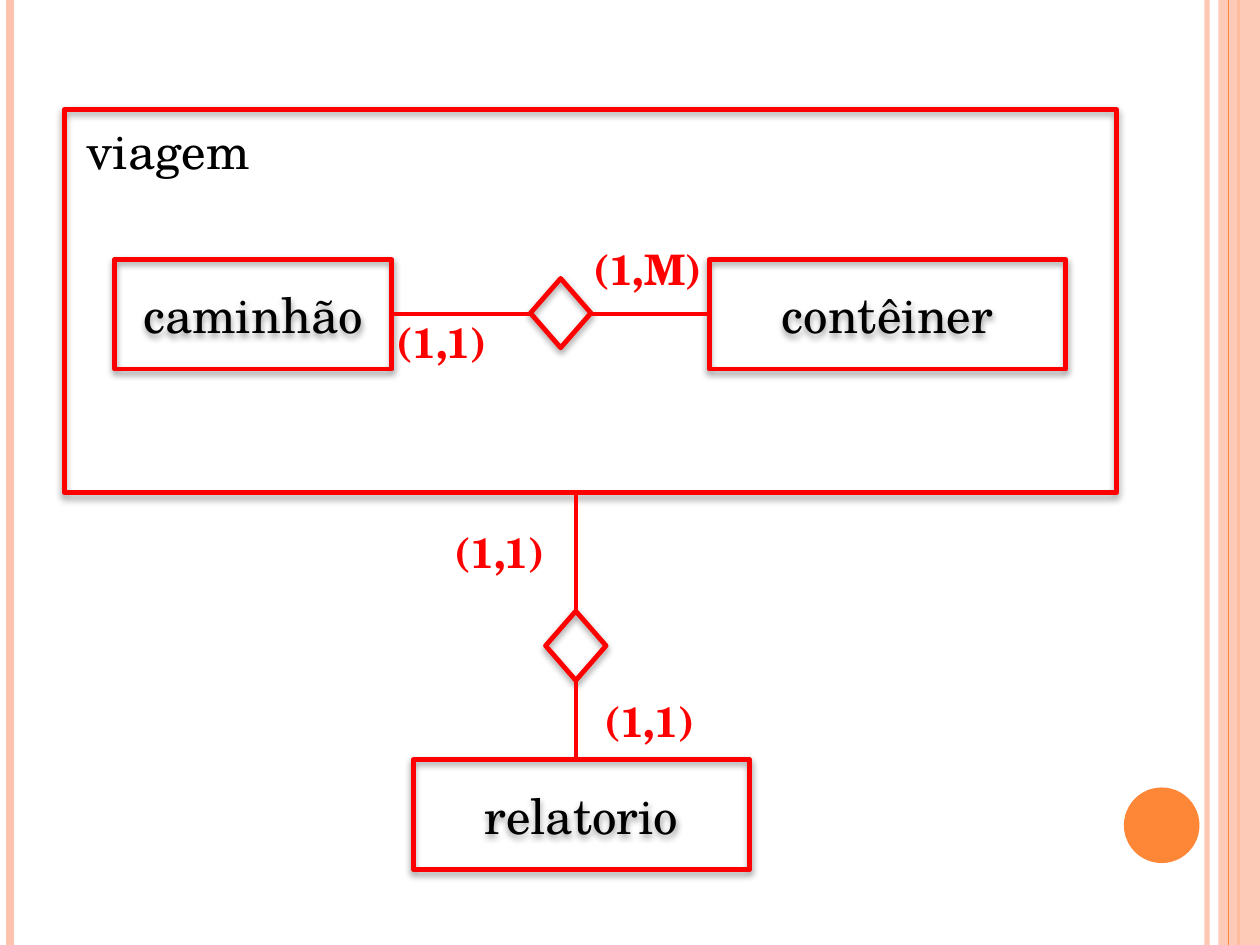
from dataclasses import dataclass

from lxml import etree
from pptx import Presentation
from pptx import util as u
from pptx.dml.color import RGBColor
from pptx.enum import shapes, text
from pptx.oxml import ns


@dataclass(frozen=True)
class Theme:
    font: str = "TeX Gyre Schola"
    ink: str = "000000"
    red: str = "FF0000"
    orange: str = "FE8637"
    peach: str = "FEC3AE"
    entity_size: float = 28
    label_size: float = 24
    outline: float = 2.75
    link: float = 2.25


class Diagram:
    def __init__(self, s, theme):
        self.s, self.t = s, theme

    def _sub(self, parent, tag, **attrs):
        return etree.SubElement(parent, ns.qn(tag), {k: str(v) for k, v in attrs.items()})

    def _alpha(self, fill_parent, percent):
        color = fill_parent.find(".//" + ns.qn("a:srgbClr"))
        self._sub(color, "a:alpha", val=percent * 1000)

    def _write(self, tf, words, size, color, bold=False):
        p = tf.paragraphs[0]
        p.text = words
        f = p.font
        f.name, f.size, f.bold = self.t.font, u.Pt(size), bold
        f.color.rgb = RGBColor.from_string(color)
        return p

    def line(self, x1, y1, x2, y2, color, width, alpha=None):
        c = self.s.shapes.add_connector(
            shapes.MSO_CONNECTOR.STRAIGHT, *map(u.Inches, (x1, y1, x2, y2)))
        c.line.color.rgb = RGBColor.from_string(color)
        c.line.width = u.Pt(width)
        if alpha:
            self._alpha(c.line._ln, alpha)
        self._sub(c._element.spPr, "a:effectLst")

    def link(self, x1, y1, x2, y2):
        self.line(x1, y1, x2, y2, self.t.red, self.t.link)

    def _shape(self, kind, x, y, w, h):
        sp = self.s.shapes.add_shape(kind, *map(u.Inches, (x, y, w, h)))
        sp.shadow.inherit = False
        return sp

    def solid(self, kind, x, y, w, h, color, alpha=None):
        sp = self._shape(kind, x, y, w, h)
        sp.fill.solid()
        sp.fill.fore_color.rgb = RGBColor.from_string(color)
        sp.line.fill.background()
        if alpha:
            self._alpha(sp._element.spPr, alpha)

    def outlined(self, kind, x, y, w, h, words=None):
        sp = self._shape(kind, x, y, w, h)
        sp.fill.background()
        sp.line.color.rgb = RGBColor.from_string(self.t.red)
        sp.line.width = u.Pt(self.t.outline)
        effects = sp._element.spPr.find(ns.qn("a:effectLst"))
        shadow = self._sub(effects, "a:outerShdw", blurRad=u.Pt(4), dist=u.Pt(2),
                           dir=90 * 60000, rotWithShape=0)
        self._sub(self._sub(shadow, "a:srgbClr", val=self.t.ink), "a:alpha", val=40000)
        if words:
            sp.text_frame.vertical_anchor = text.MSO_ANCHOR.MIDDLE
            p = self._write(sp.text_frame, words, self.t.entity_size, self.t.ink)
            p.alignment = text.PP_ALIGN.CENTER

    def entity(self, x, y, w, words):
        self.outlined(shapes.MSO_SHAPE.RECTANGLE, x, y, w, 0.87, words)

    def relationship(self, x, y):
        self.outlined(shapes.MSO_SHAPE.DIAMOND, x, y, 0.48, 0.55)

    def _textbox(self, x, y, w, h, wrap):
        tf = self.s.shapes.add_textbox(*map(u.Inches, (x, y, w, h))).text_frame
        tf.word_wrap = wrap
        tf.auto_size = text.MSO_AUTO_SIZE.SHAPE_TO_FIT_TEXT
        return tf

    def title(self, x, y, w, words):
        self._write(self._textbox(x, y, w, 0.57, True), words, self.t.entity_size, self.t.ink)

    def cardinality(self, x, y, w, words):
        self._write(self._textbox(x, y, w, 0.5, False), words,
                    self.t.label_size, self.t.red, True)


def main():
    """Build the entity-relationship slide."""
    prs = Presentation()
    prs.slide_width, prs.slide_height = u.Inches(10), u.Inches(7.5)
    t = Theme()
    d = Diagram(prs.slides.add_slide(prs.slide_layouts[6]), t)
    shape = shapes.MSO_SHAPE

    for x, color, width, alpha in ((9.58, t.peach, 3, 93), (0.08, t.peach, 4.5, None),
                                   (9.83, t.orange, 1.5, None)):
        d.line(x, 0, x, 7.5, color, width, alpha)
    d.solid(shape.RECTANGLE, 9.67, 0, 0.33, 7.5, t.peach, 87)
    d.line(9.75, 0, 9.75, 7.5, t.orange, 0.75)
    d.solid(shape.OVAL, 8.92, 6.25, 0.6, 0.6, t.orange)

    d.entity(5.63, 2.06, 2.83, "contêiner")
    d.entity(0.91, 2.06, 2.2, "caminhão")
    d.relationship(4.21, 2.21)
    d.outlined(shape.RECTANGLE, 0.51, 0.87, 8.35, 3.04)
    d.title(0.59, 0.91, 1.97, "viagem")
    d.link(3.11, 2.49, 4.21, 2.49)
    d.link(4.7, 2.49, 5.63, 2.49)

    d.entity(3.28, 6.03, 2.67, "relatorio")
    d.relationship(4.33, 4.85)
    d.link(4.57, 4.85, 4.57, 3.91)
    d.link(4.57, 5.4, 4.57, 6.03)

    d.cardinality(4.61, 1.88, 1.08, "(1,M)")
    for x, y in ((3.05, 2.46), (4.7, 5.47), (3.51, 4.13)):
        d.cardinality(x, y, 0.94, "(1,1)")
    prs.save("out.pptx")


if __name__ == "__main__":
    main()
